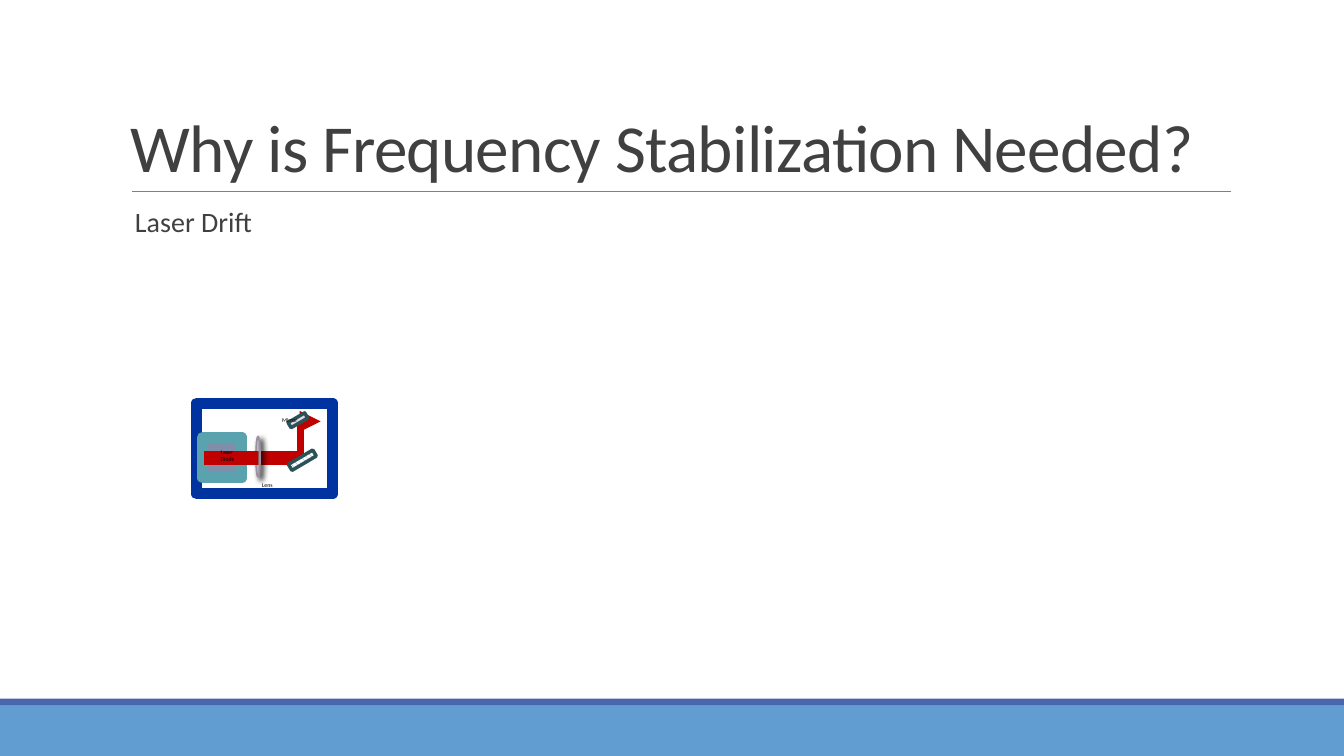
"""Builds the slide on why laser frequency stabilization is needed."""
from copy import deepcopy
from lxml import etree
from pptx import Presentation
from pptx.dml.color import RGBColor
from pptx.enum.dml import MSO_PATTERN
from pptx.enum.shapes import MSO_CONNECTOR, MSO_SHAPE
from pptx.enum.text import MSO_ANCHOR
from pptx.oxml.ns import qn
from pptx.util import Pt

RECT, OVAL = MSO_SHAPE.RECTANGLE, MSO_SHAPE.OVAL
LINE = MSO_CONNECTOR.STRAIGHT
TOP, BOTTOM = MSO_ANCHOR.TOP, MSO_ANCHOR.BOTTOM
HATCH = MSO_PATTERN.WIDE_DOWNWARD_DIAGONAL

SKY = RGBColor(0x62, 0x9D, 0xD1)
INDIGO = RGBColor(0x4A, 0x66, 0xAC)
GRAY = RGBColor(0x80, 0x80, 0x80)
INK = RGBColor(0x40, 0x40, 0x40)
BLACK = RGBColor(0, 0, 0)
WHITE = RGBColor(0xFF, 0xFF, 0xFF)
RED = RGBColor(0xC0, 0, 0)
BLUE = RGBColor(0, 0x33, 0xA0)
TEAL = RGBColor(0x5A, 0xA2, 0xAE)
PINE = RGBColor(0x2B, 0x52, 0x59)
SLATE = RGBColor(0x7F, 0x8F, 0xA9)
GLASS = RGBColor(0xCC, 0xD2, 0xDD)
MAUVE = RGBColor(0x9D, 0x90, 0xA0)
PALE = RGBColor(0xFA, 0xF9, 0xFA)
LILAC = RGBColor(0xD3, 0xCD, 0xD4)
MIST = RGBColor(0xE2, 0xDE, 0xE2)

TITLE = "Why is Frequency Stabilization Needed?"
TOPIC = "Laser Drift"
SHEEN = [(0, PALE), (0.74, LILAC), (0.83, LILAC), (1, MIST)]
LABELS = [
    ("Lens", (180, 340.6, 25.9, 12.2)),
    ("Laser Diode", (150.5, 316.8, 25.9, 17.3)),
    ("Mirror", (194.4, 293.8, 25.9, 12.2)),
]
AXIS, TURN, EXIT = 326.9, 214.6, 301


def add_sub(host, tag, **attrs):
    node = etree.SubElement(host, qn(tag))
    for key, value in attrs.items():
        node.set(key, str(value))
    return node


def add_box(host, kind, area, fill=None, line=None, width=0, turn=0):
    box = host.add_shape(kind, *map(Pt, area))
    box.shadow.inherit = False
    box.rotation = turn
    if fill is None:
        box.fill.background()
    else:
        box.fill.solid()
        box.fill.fore_color.rgb = fill
    if line is None:
        box.line.fill.background()
    else:
        box.line.color.rgb = line
        box.line.width = Pt(width)
    return box


def add_line(host, start, end, color, width, arrow=False):
    line = host.add_connector(LINE, *map(Pt, (*start, *end)))
    line.line.color.rgb = color
    line.line.width = Pt(width)
    if arrow:
        add_sub(line.line._get_or_add_ln(), "a:tailEnd", type="triangle")
    add_sub(line._element.spPr, "a:effectLst")


def add_text(host, text, area, size, color=BLACK, anchor=TOP, inset=7.2,
             lead=None, after=0, track=0, bullet=False):
    box = host.add_textbox(*map(Pt, area))
    frame = box.text_frame
    frame.word_wrap = True
    frame.vertical_anchor = anchor
    frame.margin_left = frame.margin_right = Pt(inset)
    para = frame.paragraphs[0]
    para.line_spacing = lead
    para.space_after = Pt(after)
    if bullet:
        props = para._p.get_or_add_pPr()
        props.set("marL", str(Pt(7.2)))
        props.set("indent", str(-Pt(7.2)))
        tint = add_sub(props, "a:buClr")
        add_sub(tint, "a:srgbClr", val=INDIGO)
        add_sub(props, "a:buChar", char=" ")
    run = para.add_run()
    run.text = text
    font = run.font
    font.name, font.size, font.color.rgb = "Calibri", Pt(size), color
    if track:
        run._r.get_or_add_rPr().set("spc", str(track))


def add_sheen(box):
    box.fill.gradient()
    box.fill.gradient_angle = 270
    stops = box._element.spPr.find(".//" + qn("a:gsLst"))
    while len(stops) < len(SHEEN):
        stops.append(deepcopy(stops[-1]))
    for stop, (place, color) in zip(box.fill.gradient_stops, SHEEN):
        stop.position = place
        stop.color.rgb = color


def add_lens(host):
    lens = add_box(host, OVAL, (182.9, 311.8, 2.9, 28.8), GLASS, MAUVE, 1.25)
    props = lens._element.spPr
    tint = props.find(qn("a:solidFill")).find(qn("a:srgbClr"))
    add_sub(tint, "a:alpha", val=40000)
    glow = add_sub(props.find(qn("a:effectLst")), "a:outerShdw",
                   blurRad=Pt(4), dist=Pt(3), dir=45 * 60000)
    shade = add_sub(glow, "a:srgbClr", val=BLACK)
    add_sub(shade, "a:alpha", val=40000)


def add_laser(host):
    add_line(host, (TURN, EXIT), (TURN, 327.6), RED, 5)
    add_line(host, (TURN, EXIT), (229, EXIT), RED, 5, arrow=True)
    add_sheen(add_box(host, RECT, (205.9, 298.1, 13.7, 4.3),
                      PALE, PINE, 2.5, 149.8))
    add_line(host, (184.3, AXIS), (TURN, AXIS), RED, 10)
    add_box(host, RECT, (140.4, 288, 97.2, 64.8), None, BLUE, 8)
    add_box(host, RECT, (144.7, 312.5, 28.1, 28.8), SLATE, TEAL, 8)
    add_lens(host)
    mirror = add_box(host, RECT, (205.9, 326.2, 20.2, 5), WHITE, PINE, 2.5, 329.5)
    mirror.fill.patterned()
    mirror.fill.pattern = HATCH
    mirror.fill.fore_color.rgb = TEAL
    mirror.fill.back_color.rgb = WHITE
    add_line(host, (145.4, AXIS), (184.3, AXIS), RED, 10)
    for text, area in LABELS:
        add_text(host, text, area, 4.2)


def main():
    deck = Presentation()
    deck.slide_width, deck.slide_height = Pt(960), Pt(540)
    page = deck.slides.add_slide(deck.slide_layouts[6]).shapes
    add_box(page, RECT, (0, 504, 960, 36), SKY)
    add_box(page, RECT, (0, 499, 960, 5), INDIGO)
    add_line(page, (94.3, 136.8), (879.1, 136.8), GRAY, 0.5)
    add_text(page, TITLE, (86.4, 22.3, 792, 114.5), 48, INK, BOTTOM,
             lead=0.85, track=-50)
    add_text(page, TOPIC, (86.4, 145.4, 792, 316.8), 20, INK, inset=0,
             lead=0.9, after=2, bullet=True)
    add_laser(page.add_group_shape().shapes)
    deck.save("out.pptx")


if __name__ == "__main__":
    main()
